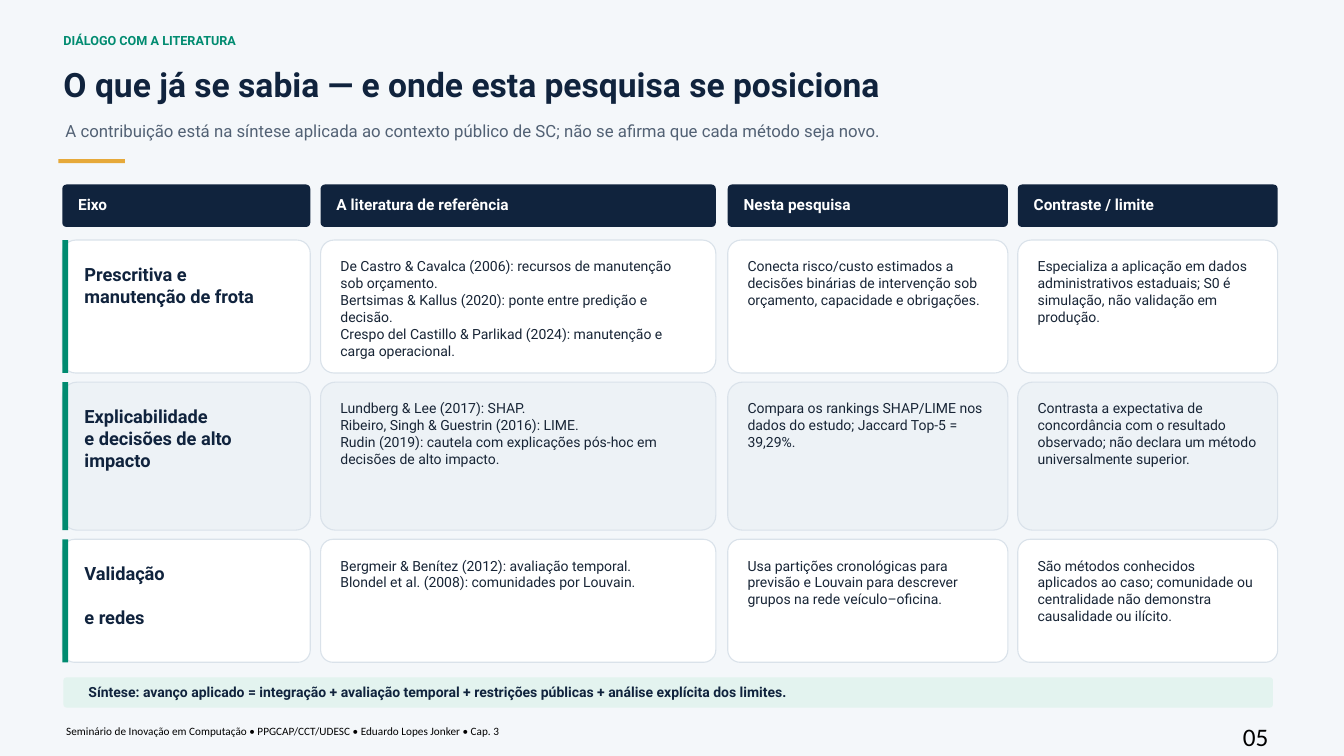
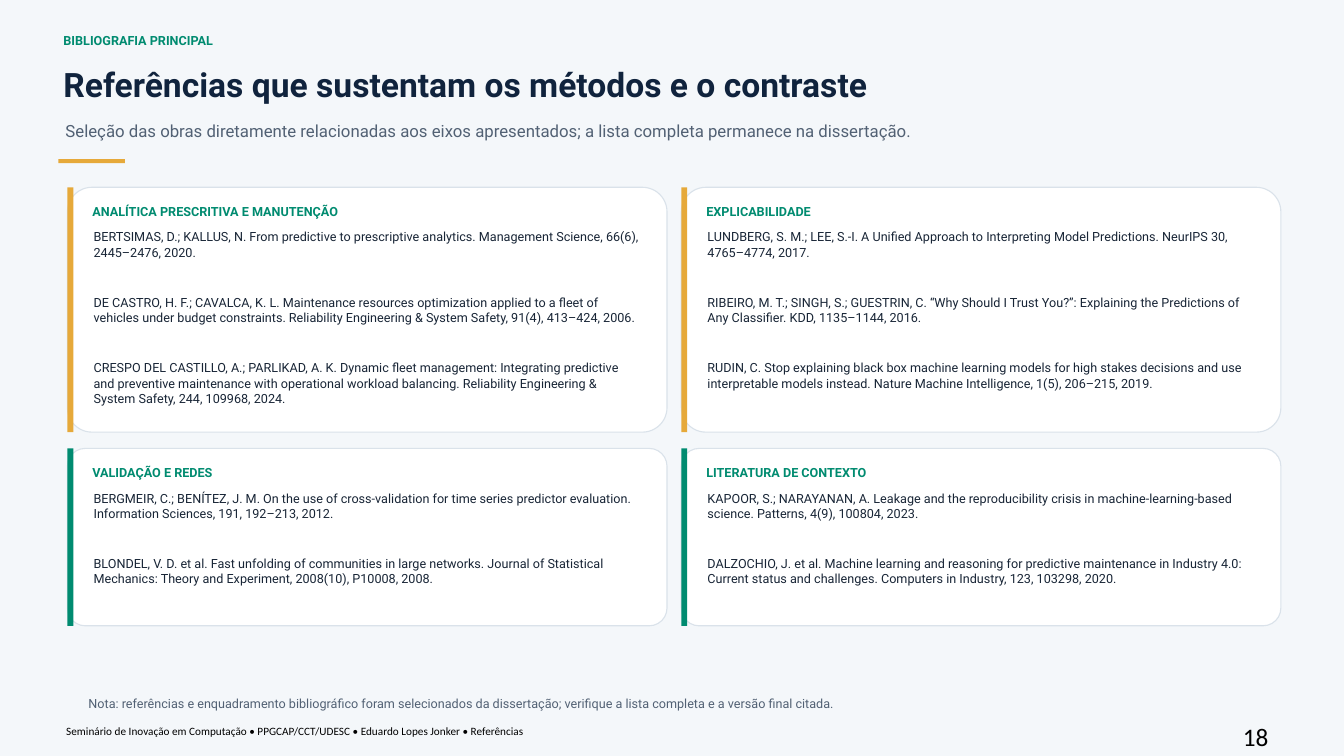
from pptx import Presentation
from pptx.dml.color import RGBColor as RGB
from pptx.enum.shapes import MSO_SHAPE as SHAPE
from pptx.enum.text import MSO_ANCHOR as ANCHOR, MSO_AUTO_SIZE as FIT
from pptx.util import Cm, Pt

# Colours
PAPER = RGB(0xF4, 0xF7, 0xFA)
NAVY = RGB(0x10, 0x23, 0x3D)
GREEN = RGB(0x00, 0x8B, 0x70)
GOLD = RGB(0xE6, 0xA9, 0x3A)
SLATE = RGB(0x52, 0x61, 0x74)
INK = RGB(0x18, 0x25, 0x36)
EDGE = RGB(0xDA, 0xE2, 0xEA)
MIST = RGB(0xED, 0xF2, 0xF6)
MINT = RGB(0xE3, 0xF3, 0xEF)
WHITE = RGB(0xFF, 0xFF, 0xFF)
BLACK = RGB(0x00, 0x00, 0x00)

FOOT = "Seminário de Inovação em Computação • PPGCAP/CCT/UDESC • Eduardo Lopes Jonker • "
PAD = 0.2
BAR = 0.15

# Comparison grid: (left, width, heading) by column
COLS = [
    (1.57, 6.25, "Eixo"),
    (8.08, 9.96, "A literatura de referência"),
    (18.34, 7.06, "Nesta pesquisa"),
    (25.65, 6.55, "Contraste / limite"),
]
ROW_TOP, ROW_GAP = 6.05, 0.23

# Rows: (height, fill, space between label lines, label, cells)
ROWS = [
    (3.35, WHITE, 0, ["Prescritiva e", "manutenção de frota"], [
        ["De Castro & Cavalca (2006): recursos de manutenção sob orçamento.",
         "Bertsimas & Kallus (2020): ponte entre predição e decisão.",
         "Crespo del Castillo & Parlikad (2024): manutenção e carga operacional."],
        ["Conecta risco/custo estimados a decisões binárias de intervenção "
         "sob orçamento, capacidade e obrigações."],
        ["Especializa a aplicação em dados administrativos estaduais; S0 é "
         "simulação, não validação em produção."],
    ]),
    (3.73, MIST, 0, ["Explicabilidade", "e decisões de alto impacto"], [
        ["Lundberg & Lee (2017): SHAP.",
         "Ribeiro, Singh & Guestrin (2016): LIME.",
         "Rudin (2019): cautela com explicações pós-hoc em decisões de alto impacto."],
        ["Compara os rankings SHAP/LIME nos dados do estudo; Jaccard Top-5 = 39,29%."],
        ["Contrasta a expectativa de concordância com o resultado observado; "
         "não declara um método universalmente superior."],
    ]),
    (3.1, WHITE, 15.5, ["Validação", "e redes"], [
        ["Bergmeir & Benítez (2012): avaliação temporal.",
         "Blondel et al. (2008): comunidades por Louvain."],
        ["Usa partições cronológicas para previsão e Louvain para descrever "
         "grupos na rede veículo–oficina."],
        ["São métodos conhecidos aplicados ao caso; comunidade ou centralidade "
         "não demonstra causalidade ou ilícito."],
    ]),
]

# Reference cards: bands of (top, height, bar colour, cards)
CARD_X, CARD_W, CARD_STEP, REF_STEP = 1.7, 15.11, 15.47, 1.65
BANDS = [
    (4.72, 6.17, GOLD, [
        ("ANALÍTICA PRESCRITIVA E MANUTENÇÃO", [
            "BERTSIMAS, D.; KALLUS, N. From predictive to prescriptive analytics. "
            "Management Science, 66(6), 2445–2476, 2020.",
            "DE CASTRO, H. F.; CAVALCA, K. L. Maintenance resources optimization "
            "applied to a fleet of vehicles under budget constraints. Reliability "
            "Engineering & System Safety, 91(4), 413–424, 2006.",
            "CRESPO DEL CASTILLO, A.; PARLIKAD, A. K. Dynamic fleet management: "
            "Integrating predictive and preventive maintenance with operational "
            "workload balancing. Reliability Engineering & System Safety, 244, "
            "109968, 2024.",
        ]),
        ("EXPLICABILIDADE", [
            "LUNDBERG, S. M.; LEE, S.-I. A Unified Approach to Interpreting Model "
            "Predictions. NeurIPS 30, 4765–4774, 2017.",
            "RIBEIRO, M. T.; SINGH, S.; GUESTRIN, C. “Why Should I Trust You?”: "
            "Explaining the Predictions of Any Classifier. KDD, 1135–1144, 2016.",
            "RUDIN, C. Stop explaining black box machine learning models for high "
            "stakes decisions and use interpretable models instead. Nature Machine "
            "Intelligence, 1(5), 206–215, 2019.",
        ]),
    ]),
    (11.3, 4.47, GREEN, [
        ("VALIDAÇÃO E REDES", [
            "BERGMEIR, C.; BENÍTEZ, J. M. On the use of cross-validation for time "
            "series predictor evaluation. Information Sciences, 191, 192–213, 2012.",
            "BLONDEL, V. D. et al. Fast unfolding of communities in large networks. "
            "Journal of Statistical Mechanics: Theory and Experiment, 2008(10), "
            "P10008, 2008.",
        ]),
        ("LITERATURA DE CONTEXTO", [
            "KAPOOR, S.; NARAYANAN, A. Leakage and the reproducibility crisis in "
            "machine-learning-based science. Patterns, 4(9), 100804, 2023.",
            "DALZOCHIO, J. et al. Machine learning and reasoning for predictive "
            "maintenance in Industry 4.0: Current status and challenges. Computers "
            "in Industry, 123, 103298, 2020.",
        ]),
    ]),
]


def put_text(slide, x, y, w, h, lines, size, color, bold=False,
             font="Roboto", mid=False, gap=0):
    """Text box with one paragraph per line."""
    box = slide.shapes.add_textbox(Cm(x), Cm(y), Cm(w), Cm(h))
    frame = box.text_frame
    frame.word_wrap = True
    frame.auto_size = FIT.SHAPE_TO_FIT_TEXT
    frame.vertical_anchor = ANCHOR.MIDDLE if mid else ANCHOR.TOP
    frame.margin_left = frame.margin_right = Cm(PAD)
    frame.margin_top = frame.margin_bottom = Cm(PAD)
    for i, line in enumerate(lines):
        para = frame.add_paragraph() if i else frame.paragraphs[0]
        if i and gap:
            para.space_before = Pt(gap)
        run = para.add_run()
        run.text = line
        run.font.name = font
        run.font.size = Pt(size)
        run.font.bold = bold
        run.font.color.rgb = color


def put_box(slide, x, y, w, h, fill, edge=None, soft=True):
    """Filled box, with rounded corners when soft."""
    kind = SHAPE.ROUNDED_RECTANGLE if soft else SHAPE.RECTANGLE
    box = slide.shapes.add_shape(kind, Cm(x), Cm(y), Cm(w), Cm(h))
    box.shadow.inherit = False
    if soft:
        box.adjustments[0] = 0.1
    box.fill.solid()
    box.fill.fore_color.rgb = fill
    if edge is None:
        box.line.fill.background()
    else:
        box.line.color.rgb = edge
        box.line.width = Pt(0.8)


def put_bar(slide, x, y, h, fill):
    put_box(slide, x, y, BAR, h, fill, soft=False)


def new_slide(deck, tag, title, lead, part, page):
    """Slide with the shared heading and footer."""
    slide = deck.slides.add_slide(deck.slide_layouts[6])
    slide.background.fill.solid()
    slide.background.fill.fore_color.rgb = PAPER
    put_text(slide, 1.4, 0.64, 30.99, 0.61, [tag], 9, GREEN, True)
    put_text(slide, 1.4, 1.42, 30.99, 1.32, [title], 24, NAVY, True)
    put_text(slide, 1.45, 2.84, 30.73, 0.97, [lead], 12, SLATE)
    put_box(slide, 1.47, 4.01, 1.68, 0.1, GOLD, soft=False)
    put_text(slide, 1.47, 18.08, 29.46, 0.51, [FOOT + part], 8, BLACK, font="Calibri")
    put_text(slide, 31.12, 17.98, 1.14, 0.51, [page], 18, BLACK, font="Calibri")
    return slide


def put_heads(slide):
    for x, w, head in COLS:
        put_box(slide, x, 4.65, w, 1.07, NAVY)
        put_text(slide, x + PAD, 4.9, w - 2 * PAD, 0.51, [head], 11, WHITE, True, mid=True)


def put_row(slide, y, h, fill, gap, label, cells):
    for x, w, _ in COLS:
        put_box(slide, x, y, w, h, fill, EDGE)
    x, w, _ = COLS[0]
    put_bar(slide, x, y, h, GREEN)
    put_text(slide, x + 0.36, y + 0.38, w - 0.59, h - 0.64, label, 13, NAVY, True, gap=gap)
    for (x, w, _), lines in zip(COLS[1:], cells):
        put_text(slide, x + 0.3, y + 0.25, w - 0.6, h - 0.43, lines, 10, INK)


def put_card(slide, x, y, h, color, head, refs):
    put_box(slide, x, y, CARD_W, h, WHITE, EDGE)
    put_bar(slide, x, y, h, color)
    put_text(slide, x + 0.43, y + 0.23, CARD_W - 0.86, 0.51, [head], 9, GREEN, True)
    for i, ref in enumerate(refs):
        put_text(slide, x + 0.46, y + 0.86 + i * REF_STEP, CARD_W - 0.91, 1.47, [ref], 9, INK)


def main():
    deck = Presentation()
    deck.slide_width, deck.slide_height = Cm(33.87), Cm(19.05)

    # Comparison with the literature
    slide = new_slide(
        deck, "DIÁLOGO COM A LITERATURA",
        "O que já se sabia — e onde esta pesquisa se posiciona",
        "A contribuição está na síntese aplicada ao contexto público de SC; "
        "não se afirma que cada método seja novo.", "Cap. 3", "05")
    put_heads(slide)
    y = ROW_TOP
    for h, *rest in ROWS:
        put_row(slide, y, h, *rest)
        y += h + ROW_GAP
    put_box(slide, 1.6, 17.07, 30.48, 0.76, MINT)
    put_text(slide, 2.03, 17.2, 29.46, 0.48, [
        "Síntese: avanço aplicado = integração + avaliação temporal + "
        "restrições públicas + análise explícita dos limites."], 10, NAVY, True, mid=True)

    # Main references
    slide = new_slide(
        deck, "BIBLIOGRAFIA PRINCIPAL",
        "Referências que sustentam os métodos e o contraste",
        "Seleção das obras diretamente relacionadas aos eixos apresentados; "
        "a lista completa permanece na dissertação.", "Referências", "18")
    for y, h, color, cards in BANDS:
        for i, (head, refs) in enumerate(cards):
            put_card(slide, CARD_X + i * CARD_STEP, y, h, color, head, refs)
    put_text(slide, 2.03, 17.35, 29.46, 0.58, [
        "Nota: referências e enquadramento bibliográfico foram selecionados da "
        "dissertação; verifique a lista completa e a versão final citada."], 9, SLATE)

    deck.save("out.pptx")


if __name__ == "__main__":
    main()
